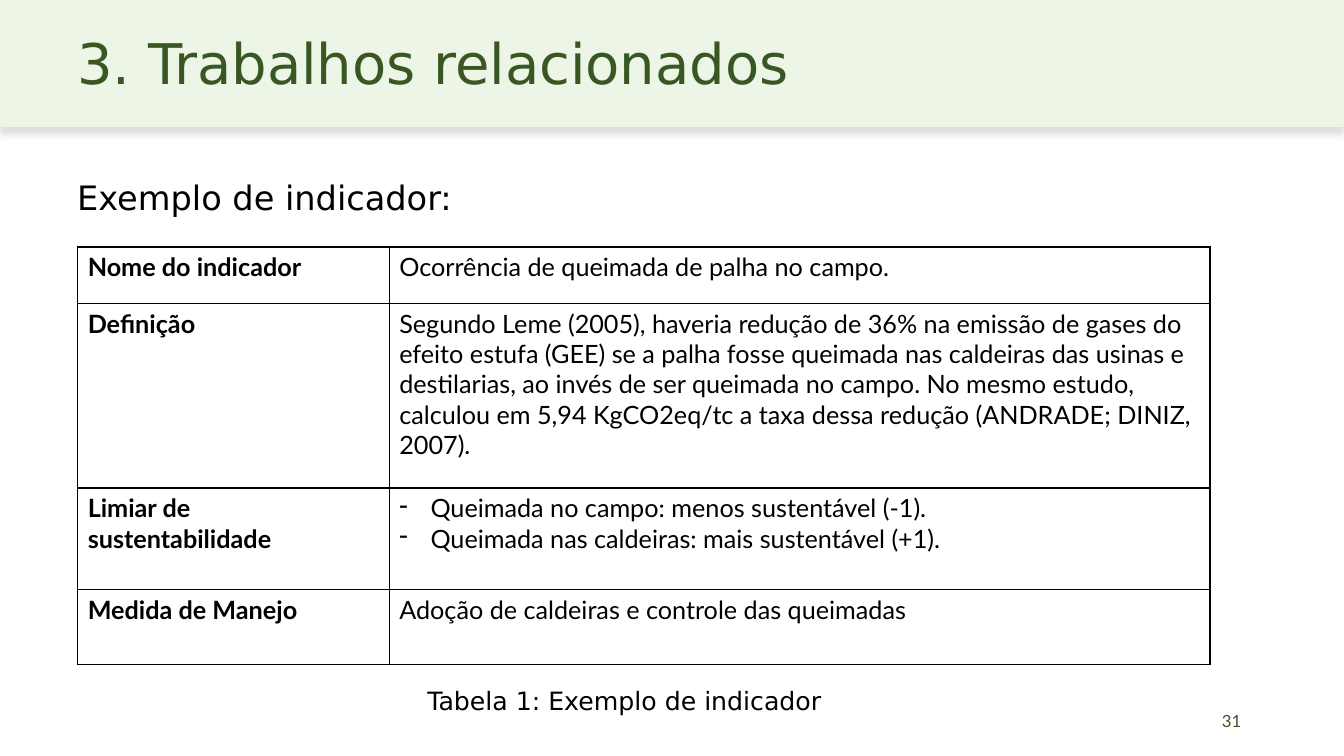
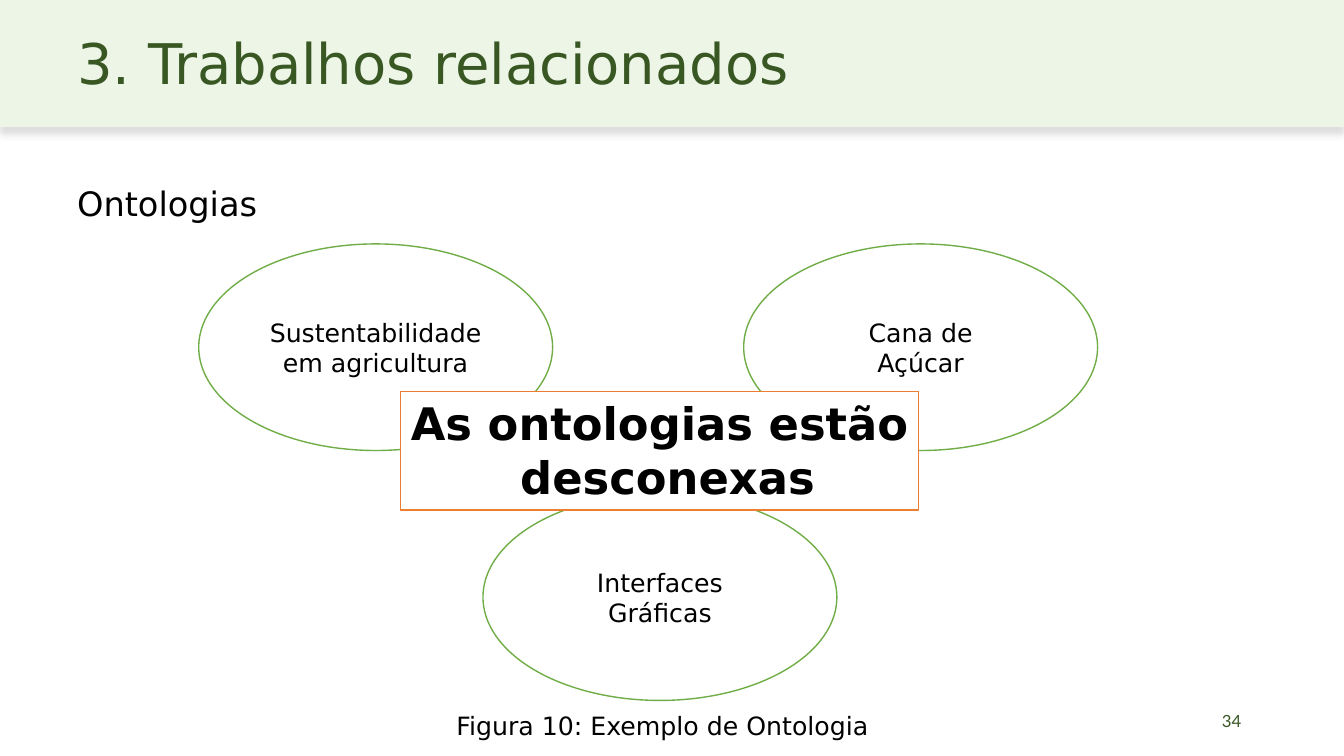
"""Build two slides on related work: an indicator table and disconnected ontologies."""
from dataclasses import dataclass

import pptx
import pptx.dml.color
import pptx.enum.shapes
import pptx.enum.text
import pptx.oxml
import pptx.oxml.ns
import pptx.util

ALIGN = pptx.enum.text.PP_ALIGN
ANCHOR = pptx.enum.text.MSO_ANCHOR
SHAPE = pptx.enum.shapes.MSO_SHAPE
NAMESPACE = pptx.oxml.ns.nsdecls("a")
SLIDE_WIDTH = pptx.util.Inches(13.33)
SLIDE_HEIGHT = pptx.util.Inches(7.5)


@dataclass(frozen=True)
class Theme:
    """Colours, fonts and type sizes of the presentation."""

    band: str = "EDF5E7"
    heading: str = "385723"
    ink: str = "000000"
    paper: str = "FFFFFF"
    topic: str = "70AD47"
    callout: str = "ED7D31"
    shadow: str = "BFBFBF"
    display_font: str = "DejaVu Sans"
    table_font: str = "Lato"
    title_size: int = 40
    callout_size: int = 32
    subtitle_size: int = 24
    body_size: int = 18
    number_size: int = 12


THEME = Theme()
TITLE = "3. Trabalhos relacionados"
MARGIN = 5
CONTENT_WIDTH = 88.13

TABLE_LEFT, TABLE_TOP = 5.78, 32.67
COLUMN_WIDTHS = (23.18, 61.07)
ROW_HEIGHTS = (7.47, 24.4, 13.47, 9.87)
INDICATOR = (
    ("Nome do indicador", ["Ocorrência de queimada de palha no campo."]),
    ("Definição", [
        "Segundo Leme (2005), haveria redução de 36% na emissão de gases do efeito estufa "
        "(GEE) se a palha fosse queimada nas caldeiras das usinas e destilarias, ao invés "
        "de ser queimada no campo. No mesmo estudo, calculou em 5,94 KgCO2eq/tc a taxa "
        "dessa redução (ANDRADE; DINIZ, 2007)."]),
    ("Limiar de sustentabilidade", [
        "Queimada no campo: menos sustentável (-1).",
        "Queimada nas caldeiras: mais sustentável (+1)."]),
    ("Medida de Manejo", ["Adoção de caldeiras e controle das queimadas"]),
)

TOPIC_WIDTH, TOPIC_HEIGHT = 26.33, 27.33
UPPER_ROW, LOWER_ROW = 32.27, 65.33
MIDDLE = 49.1
TOPICS = (
    (27.95, UPPER_ROW, ["Sustentabilidade em agricultura"]),
    (68.5, UPPER_ROW, ["Cana de", "Açúcar"]),
    (MIDDLE, LOWER_ROW, ["Interfaces", "Gráficas"]),
)


def across(share):
    """Return a percentage of the slide's width as a length."""
    return pptx.util.Emu(round(SLIDE_WIDTH * share / 100))


def down(share):
    """Return a percentage of the slide's height as a length."""
    return pptx.util.Emu(round(SLIDE_HEIGHT * share / 100))


def box(left, top, width, height):
    """Turn four percentages into a position and a size."""
    return across(left), down(top), across(width), down(height)


def color(value):
    """Return the colour object of a hexadecimal value."""
    return pptx.dml.color.RGBColor.from_string(value)


def write(frame, lines, size, font=THEME.display_font, ink=THEME.ink,
          bold=False, align=ALIGN.LEFT):
    """Write one formatted paragraph per line and return the paragraphs."""
    frame.text = "\n".join(lines)
    for paragraph in frame.paragraphs:
        paragraph.alignment = align
        paragraph.font.name = font
        paragraph.font.size = pptx.util.Pt(size)
        paragraph.font.bold = bold
        paragraph.font.color.rgb = color(ink)
    return frame.paragraphs


def add_text(slide, place, text, size, anchor=ANCHOR.MIDDLE, wrap=True, **style):
    """Add a one-paragraph text box and return its paragraph."""
    frame = slide.shapes.add_textbox(*box(*place)).text_frame
    frame.word_wrap = wrap
    frame.vertical_anchor = anchor
    return write(frame, [text], size, **style)[0]


def add_panel(slide, kind, place, fill, line=None, line_width=1):
    """Add a filled preset shape, outlined when a line colour is given."""
    shape = slide.shapes.add_shape(kind, *box(*place))
    shape.shadow.inherit = False
    shape.fill.solid()
    shape.fill.fore_color.rgb = color(fill)
    if line:
        shape.line.color.rgb = color(line)
        shape.line.width = pptx.util.Pt(line_width)
    else:
        shape.line.fill.background()
    return shape


def add_band(slide):
    """Add the title band with its soft shadow behind the title."""
    band = add_panel(slide, SHAPE.RECTANGLE, (0, 0, 100, 16.8), THEME.band)
    effects = band.element.spPr.find(pptx.oxml.ns.qn("a:effectLst"))
    effects.append(pptx.oxml.parse_xml(
        f'<a:outerShdw {NAMESPACE} blurRad="63500" dist="63500" dir="5400000" '
        f'algn="t" rotWithShape="0"><a:srgbClr val="{THEME.shadow}">'
        '<a:alpha val="50000"/></a:srgbClr></a:outerShdw>'))
    slide.shapes.title.element.addprevious(band.element)


def add_slide(presentation, number):
    """Add a slide with the shared band, title and page number."""
    slide = presentation.slides.add_slide(presentation.slide_layouts[5])
    title = slide.shapes.title
    title.left, title.top, title.width, title.height = box(MARGIN, 0, CONTENT_WIDTH, 16.53)
    title.text_frame.vertical_anchor = ANCHOR.MIDDLE
    write(title.text_frame, [TITLE], THEME.title_size, ink=THEME.heading)
    add_band(slide)
    add_text(slide, (66.24, 92.67, 26.86, 5.33), number, THEME.number_size,
             font=THEME.table_font, ink=THEME.heading, align=ALIGN.RIGHT)
    return slide


def add_subtitle(slide, text, top, width, height, spacing, align=ALIGN.LEFT):
    """Add the line that introduces the slide's content."""
    paragraph = add_text(slide, (MARGIN, top, width, height), text,
                         THEME.subtitle_size, align=align)
    paragraph.line_spacing = spacing
    paragraph.space_before = pptx.util.Pt(THEME.subtitle_size * 0.3)


def add_caption(slide, left, top, width, text):
    """Add a caption below a table or figure."""
    add_text(slide, (left, top, width, 5.33), text, THEME.body_size,
             anchor=ANCHOR.TOP, wrap=False)


def outline_cell(cell):
    """Give a table cell four thin borders and no fill."""
    properties = cell._tc.get_or_add_tcPr()
    for side in ("lnL", "lnR", "lnT", "lnB"):
        properties.append(pptx.oxml.parse_xml(
            f'<a:{side} {NAMESPACE} w="12700"><a:solidFill>'
            f'<a:srgbClr val="{THEME.ink}"/></a:solidFill></a:{side}>'))
    cell.fill.background()


def add_dash(paragraph):
    """Turn a paragraph into a dashed list item with a hanging indent."""
    properties = paragraph._p.get_or_add_pPr()
    indent = pptx.util.Inches(0.31)
    properties.set("marL", str(indent))
    properties.set("indent", str(-indent))
    bullet = pptx.oxml.parse_xml(f'<a:buChar {NAMESPACE} char="-"/>')
    properties.insert_element_before(bullet, "a:tabLst", "a:defRPr", "a:extLst")


def add_indicator_table(slide):
    """Add the table that describes one indicator."""
    table = slide.shapes.add_table(
        len(ROW_HEIGHTS), len(COLUMN_WIDTHS),
        *box(TABLE_LEFT, TABLE_TOP, sum(COLUMN_WIDTHS), sum(ROW_HEIGHTS))).table
    table.first_row = table.horz_banding = False
    for column, width in zip(table.columns, COLUMN_WIDTHS):
        column.width = across(width)
    for row, height, (label, lines) in zip(table.rows, ROW_HEIGHTS, INDICATOR):
        row.height = down(height)
        for cell, content, bold in zip(row.cells, ([label], lines), (True, False)):
            outline_cell(cell)
            paragraphs = write(cell.text_frame, content, THEME.body_size,
                               font=THEME.table_font, bold=bold)
            if len(content) > 1:
                for paragraph in paragraphs:
                    add_dash(paragraph)


def add_topic(slide, center, top, lines):
    """Add an ellipse that names one ontology."""
    place = (center - TOPIC_WIDTH / 2, top, TOPIC_WIDTH, TOPIC_HEIGHT)
    ellipse = add_panel(slide, SHAPE.OVAL, place, THEME.paper, THEME.topic)
    write(ellipse.text_frame, lines, THEME.body_size, align=ALIGN.CENTER)


def add_callout(slide, lines):
    """Add the framed statement over the ellipses."""
    width = 38.56
    frame = add_panel(slide, SHAPE.RECTANGLE, (MIDDLE - width / 2, 51.73, width, 15.73),
                      THEME.paper, THEME.callout, 0.75).text_frame
    frame.vertical_anchor = ANCHOR.TOP
    write(frame, lines, THEME.callout_size, bold=True, align=ALIGN.CENTER)


def build_indicator_slide(presentation):
    """Build the slide with the example indicator."""
    slide = add_slide(presentation, "31")
    add_subtitle(slide, "Exemplo de indicador:", 20.4, CONTENT_WIDTH, 7.47, 1.7, ALIGN.JUSTIFY)
    add_indicator_table(slide)
    add_caption(slide, 31.06, 90, 31.43, "Tabela 1: Exemplo de indicador")


def build_ontology_slide(presentation):
    """Build the slide with the disconnected ontologies."""
    slide = add_slide(presentation, "34")
    add_subtitle(slide, "Ontologias", 21.87, 90.92, 10.53, 0.9)
    for center, top, lines in TOPICS:
        add_topic(slide, center, top, lines)
    add_callout(slide, ["As ontologias estão", " desconexas"])
    add_caption(slide, 33.23, 93.33, 32.86, "Figura 10: Exemplo de Ontologia")


def main():
    """Build and save the presentation."""
    presentation = pptx.Presentation()
    presentation.slide_width = SLIDE_WIDTH
    presentation.slide_height = SLIDE_HEIGHT
    build_indicator_slide(presentation)
    build_ontology_slide(presentation)
    presentation.save("out.pptx")


if __name__ == "__main__":
    main()
